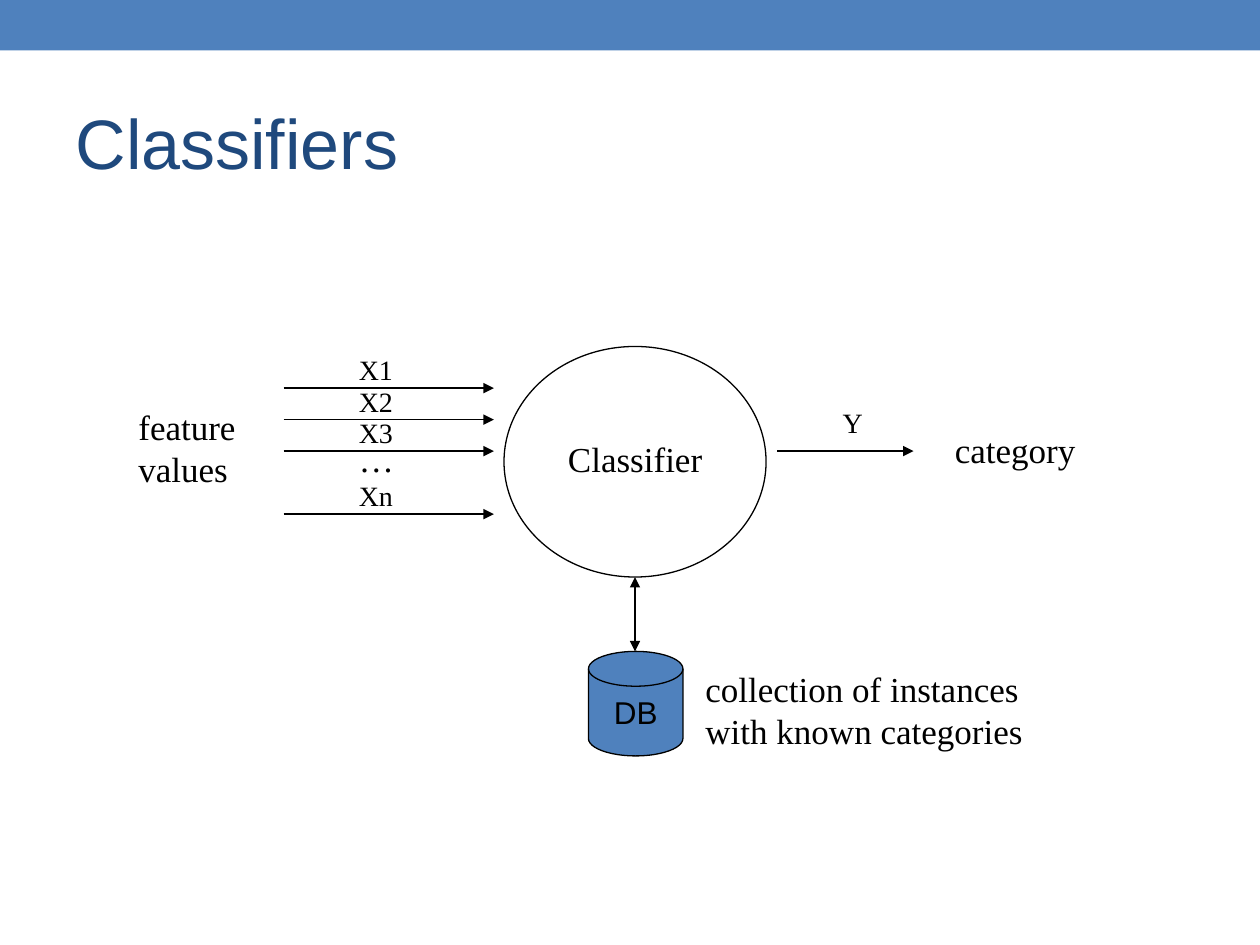
from pptx import Presentation
from pptx.dml.color import RGBColor
from pptx.enum.shapes import MSO_CONNECTOR, MSO_SHAPE
from pptx.enum.text import MSO_ANCHOR, MSO_AUTO_SIZE, PP_ALIGN
from pptx.oxml.ns import qn
from pptx.util import Inches, Pt
from lxml.etree import SubElement

COLORS = {"bar": "4F81BD", "title": "1F497D", "ink": "000000"}
SERIF, SANS = "Times New Roman", "Arial"

TITLE = "Classifiers"
# Feature rows from top to bottom; the ellipsis row has no arrow
FEATURES = ["X1", "X2", "X3", "…", "Xn"]
FEATURE_TOP, FEATURE_STEP = 2.75, 0.25
ARROW_DROP = 0.33            # from the top of a label to the arrow below it
FEATURE_SPAN = (2.25, 3.92)

# text, left, top, width, height, size ("\v" breaks a line within a paragraph)
LABELS = [
    ("Classifier", 4.41, 3.42, 1.3, 0.44, 20),
    ("feature\nvalues", 1, 3.17, 0.97, 0.77, 20),
    ("category", 7.48, 3.35, 1.16, 0.44, 20),
    ("Y", 6.59, 3.17, 0.36, 0.37, 16),
    ("collection of instances\vwith known categories", 5.5, 5.25, 2.72, 0.77, 20),
]
CLASSIFIER = (4, 2.75, 2.08, 1.83)
DATABASE = (4.67, 5.17, 0.75, 0.83)


def rgb(name):
    return RGBColor.from_string(COLORS[name])


def style(frame, size, font, color="ink", align=PP_ALIGN.LEFT):
    for paragraph in frame.paragraphs:
        paragraph.alignment = align
        paragraph.font.size = Pt(size)
        paragraph.font.name = font
        paragraph.font.color.rgb = rgb(color)


def add_label(slide, text, left, top, width, height, size):
    frame = slide.shapes.add_textbox(*map(Inches, (left, top, width, height))).text_frame
    frame.word_wrap = False
    frame.auto_size = MSO_AUTO_SIZE.SHAPE_TO_FIT_TEXT
    frame.text = text
    style(frame, size, SERIF)


def add_node(slide, preset, box, fill=None, outlined=True):
    node = slide.shapes.add_shape(preset, *map(Inches, box))
    node.shadow.inherit = False
    if fill:
        node.fill.solid()
        node.fill.fore_color.rgb = rgb(fill)
    else:
        node.fill.background()
    if outlined:
        node.line.color.rgb = rgb("ink")
        node.line.width = Pt(0.75)
    else:
        node.line.fill.background()
    return node


def add_arrow(slide, start, end, ends=("tailEnd",)):
    arrow = slide.shapes.add_connector(MSO_CONNECTOR.STRAIGHT, *map(Inches, start + end))
    arrow.line.color.rgb = rgb("ink")
    arrow.line.width = Pt(0.75)
    line = arrow.line._get_or_add_ln()
    for tip in ends:
        SubElement(line, qn(f"a:{tip}"), type="triangle")
    SubElement(arrow._element.spPr, qn("a:effectLst"))


def main():
    deck = Presentation()
    deck.slide_width, deck.slide_height = Inches(10), Inches(7.5)
    slide = deck.slides.add_slide(deck.slide_layouts[5])

    add_node(slide, MSO_SHAPE.RECTANGLE, (0, 0, 10, 0.4), "bar", outlined=False)

    title = slide.shapes.title
    title.left, title.top, title.width, title.height = map(Inches, (0.5, 0.58, 9, 1.08))
    title.text_frame.text = TITLE
    title.text_frame.auto_size = MSO_AUTO_SIZE.NONE
    title.text_frame.vertical_anchor = MSO_ANCHOR.MIDDLE
    style(title.text_frame, 40, SANS, "title")

    add_node(slide, MSO_SHAPE.OVAL, CLASSIFIER)
    database = add_node(slide, MSO_SHAPE.FLOWCHART_MAGNETIC_DISK, DATABASE, "bar")
    database.text_frame.text = "DB"
    database.text_frame.word_wrap = False
    database.text_frame.vertical_anchor = MSO_ANCHOR.MIDDLE
    style(database.text_frame, 18, SANS, align=PP_ALIGN.CENTER)

    left, right = FEATURE_SPAN
    for row, feature in enumerate(FEATURES):
        top = FEATURE_TOP + row * FEATURE_STEP
        if feature == "…":
            add_label(slide, feature, 2.75, top - 0.08, 0.48, 0.44, 20)
        else:
            add_label(slide, feature, 2.75, top, 0.47, 0.37, 16)
            add_arrow(slide, (left, top + ARROW_DROP), (right, top + ARROW_DROP))

    for label in LABELS:
        add_label(slide, *label)

    add_arrow(slide, (6.17, 3.58), (7.25, 3.58))
    center = CLASSIFIER[0] + CLASSIFIER[2] / 2
    add_arrow(slide, (center, CLASSIFIER[1] + CLASSIFIER[3]), (center, DATABASE[1]),
              ("headEnd", "tailEnd"))

    deck.save("out.pptx")


if __name__ == "__main__":
    main()
